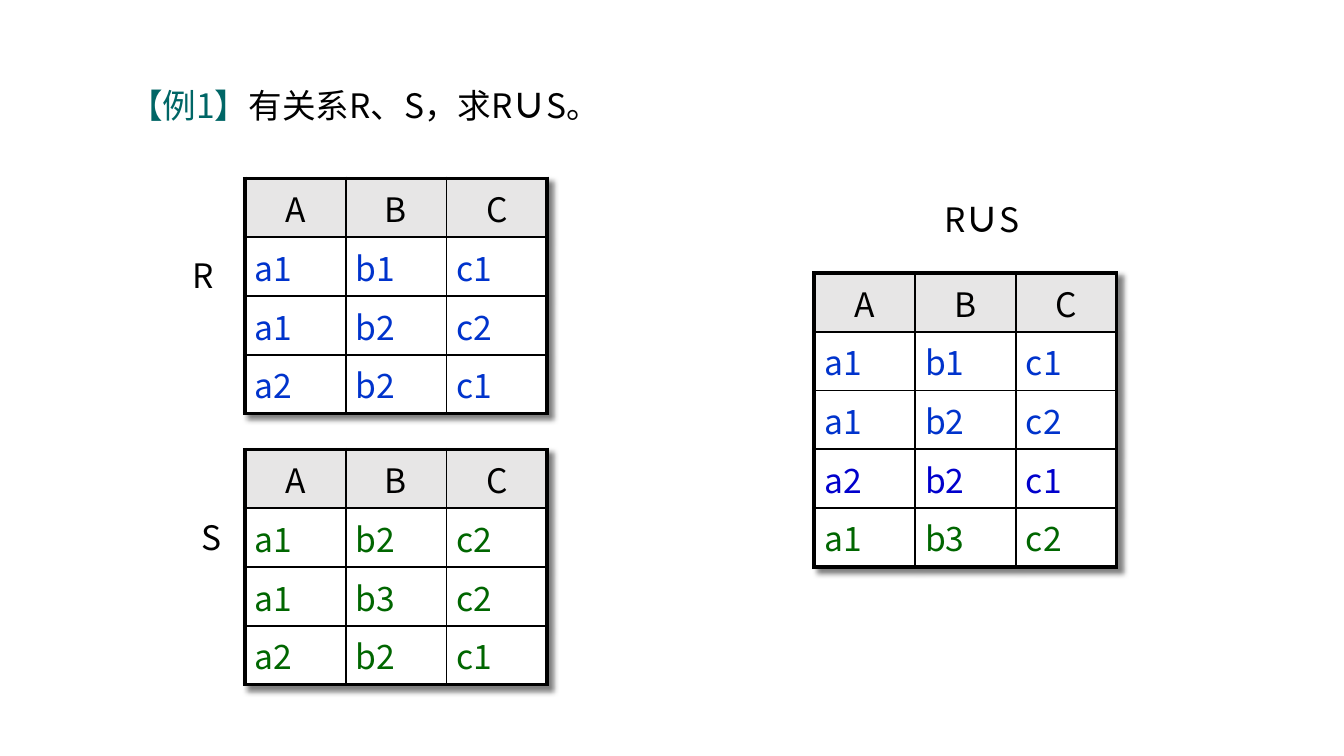
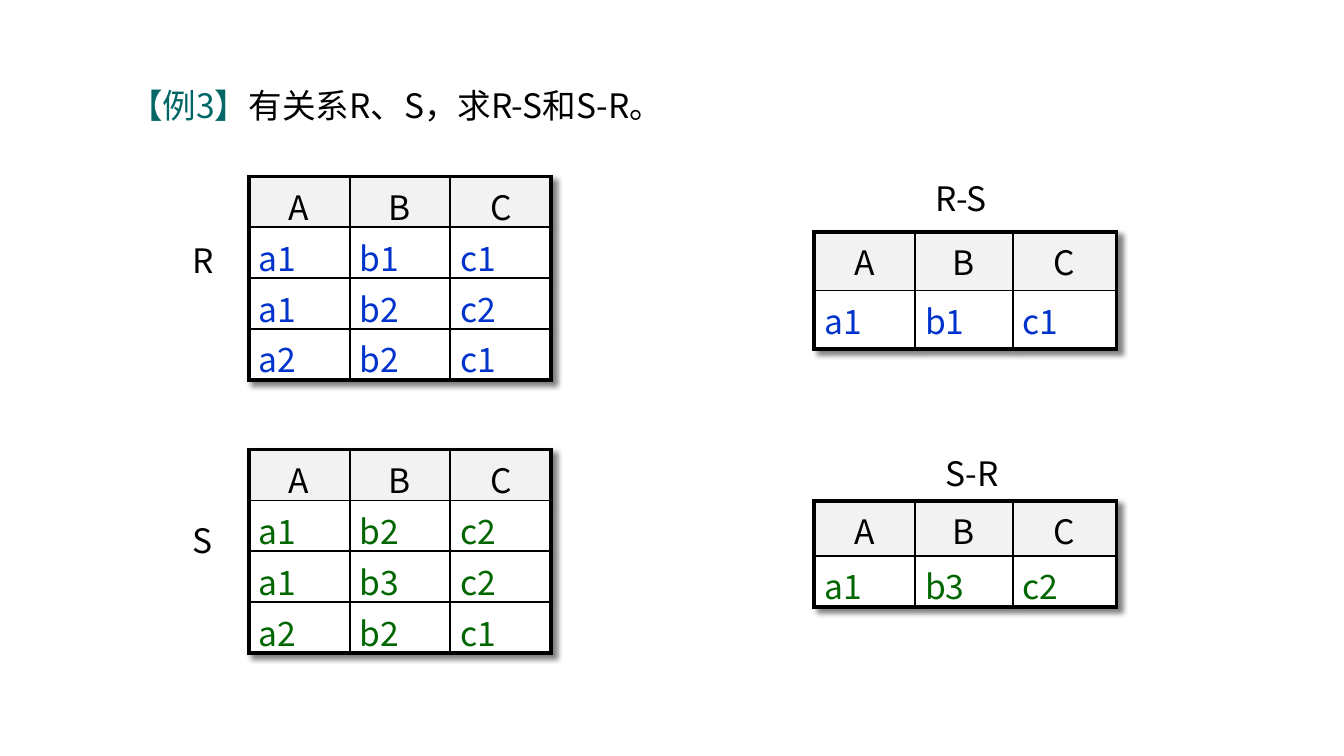
from lxml import etree
from pptx import Presentation
from pptx.dml.color import RGBColor
from pptx.enum.text import MSO_ANCHOR, MSO_AUTO_SIZE, PP_ALIGN
from pptx.oxml.ns import qn
from pptx.util import Cm, Pt

LEFT, CENTER = PP_ALIGN.LEFT, PP_ALIGN.CENTER
TOP, MIDDLE = MSO_ANCHOR.TOP, MSO_ANCHOR.MIDDLE
FIXED = MSO_AUTO_SIZE.NONE
FACE = "Noto Sans CJK SC"
COLORS = {
    "ink": "000000", "paper": "FFFFFF", "teal": "006666", "blue": "0033CC",
    "navy": "0000CC", "green": "006600", "gray": "E7E6E6", "light": "F2F2F2",
}
R_ROWS = ["a1 b1 c1", "a1 b2 c2", "a2 b2 c1"]
S_ROWS = ["a1 b2 c2", "a1 b3 c2", "a2 b2 c1"]
EVEN = [2.54] * 3
UNEVEN = [2.54, 2.46, 2.62]
TALL, LOW = 1.48, 1.28


def tint(name):
    return RGBColor.from_string(COLORS[name])


class Deck:
    def __init__(self):
        self.prs = Presentation()
        self.prs.slide_width, self.prs.slide_height = Cm(33.87), Cm(19.05)
        self.slide = None
        self.shade = "gray"

    def page(self, shade):
        self.slide = self.prs.slides.add_slide(self.prs.slide_layouts[5])
        self.shade = shade

    def style(self, para, color, align):
        para.alignment = align
        font = para.font
        font.size = Pt(24)
        font.color.rgb = tint(color)
        font.name = FACE
        etree.SubElement(font._rPr, qn("a:ea"), typeface=FACE)

    def words(self, para, text, color="ink", align=LEFT):
        self.style(para, color, align)
        for part in text.replace("∪", "|∪|").split("|"):
            run = para.add_run()
            run.text = part
            if part == "∪":
                run.font.bold = True

    def title(self, tag, text):
        box = self.slide.shapes.title
        box.left, box.top, box.width, box.height = Cm(3), Cm(2), Cm(17.8), Cm(1.3)
        frame = box.text_frame
        frame.auto_size = FIXED
        frame.vertical_anchor = TOP
        para = frame.paragraphs[0]
        head = para.add_run()
        head.text = tag
        head.font.color.rgb = tint("teal")
        self.words(para, text)

    def label(self, text, mid_x, mid_y):
        wide, high = 2.4, 2.34
        box = self.slide.shapes.add_textbox(
            Cm(mid_x - wide / 2), Cm(mid_y - high / 2), Cm(wide), Cm(high))
        frame = box.text_frame
        frame.word_wrap = False
        frame.vertical_anchor = MIDDLE
        self.words(frame.paragraphs[0], text, align=CENTER)

    def edge(self, cell, side, width):
        line = etree.SubElement(cell._tc.get_or_add_tcPr(), qn("a:ln" + side),
                                w=str(Pt(width)))
        fill = etree.SubElement(line, qn("a:solidFill"))
        etree.SubElement(fill, qn("a:srgbClr"), val=COLORS["ink"])

    def shadow(self, table):
        props = table._tbl.tblPr
        group = etree.Element(qn("a:effectLst"))
        props.insert(0, group)
        cast = etree.SubElement(group, qn("a:outerShdw"), blurRad="50800",
                                dist="53900", dir="2700000", algn="ctr")
        color = etree.SubElement(cast, qn("a:srgbClr"), val=COLORS["ink"])
        etree.SubElement(color, qn("a:alpha"), val="50000")

    def table(self, left, top, rows, colors, cols=EVEN, first=TALL, rest=TALL):
        data = [row.split() for row in ["A B C"] + rows]
        highs = [first] + [rest] * len(rows)
        table = self.slide.shapes.add_table(
            len(data), len(cols), Cm(left), Cm(top),
            Cm(sum(cols)), Cm(sum(highs))).table
        table.first_row = table.horz_banding = False
        self.shadow(table)
        for col, wide in zip(table.columns, cols):
            col.width = Cm(wide)
        for r, (row, high) in enumerate(zip(data, highs)):
            table.rows[r].height = Cm(high)
            for c, text in enumerate(row):
                cell = table.cell(r, c)
                outer = {"L": c == 0, "R": c == len(cols) - 1,
                         "T": r == 0, "B": r == len(data) - 1}
                for side, thick in outer.items():
                    self.edge(cell, side, 3 if thick else 1.5)
                cell.fill.solid()
                cell.fill.fore_color.rgb = tint("paper" if r else self.shade)
                cell.vertical_anchor = TOP
                cell.margin_bottom = Cm(min(0.13, high - 1.36))
                self.words(cell.text_frame.paragraphs[0], text,
                           colors[r - 1] if r else "ink",
                           LEFT if r else CENTER)


def main():
    deck = Deck()
    blue, green = ["blue"] * 3, ["green"] * 3

    deck.page("gray")
    deck.title("【例1】", "有关系R、S，求R∪S。")
    deck.table(6.17, 4.5, R_ROWS, blue)
    deck.table(6.17, 11.33, S_ROWS, green)
    deck.table(20.52, 6.88, R_ROWS + S_ROWS[1:2],
               ["blue", "blue", "navy", "green"])
    deck.label("R", 5.13, 6.93)
    deck.label("S", 5.33, 13.54)
    deck.label("R∪S", 24.75, 5.51)

    deck.page("light")
    deck.title("【例3】", "有关系R、S，求R-S和S-R。")
    deck.table(6.27, 4.45, R_ROWS, blue, first=LOW, rest=LOW)
    deck.table(6.27, 11.33, S_ROWS, green, first=LOW, rest=LOW)
    deck.table(20.52, 5.84, R_ROWS[:1], blue, UNEVEN)
    deck.table(20.52, 12.62, S_ROWS[1:2], green, UNEVEN, 1.39, LOW)
    deck.label("R", 5.13, 6.55)
    deck.label("S", 5.1, 13.61)
    deck.label("R-S", 24.23, 4.98)
    deck.label("S-R", 24.49, 11.91)

    deck.prs.save("out.pptx")


if __name__ == "__main__":
    main()
